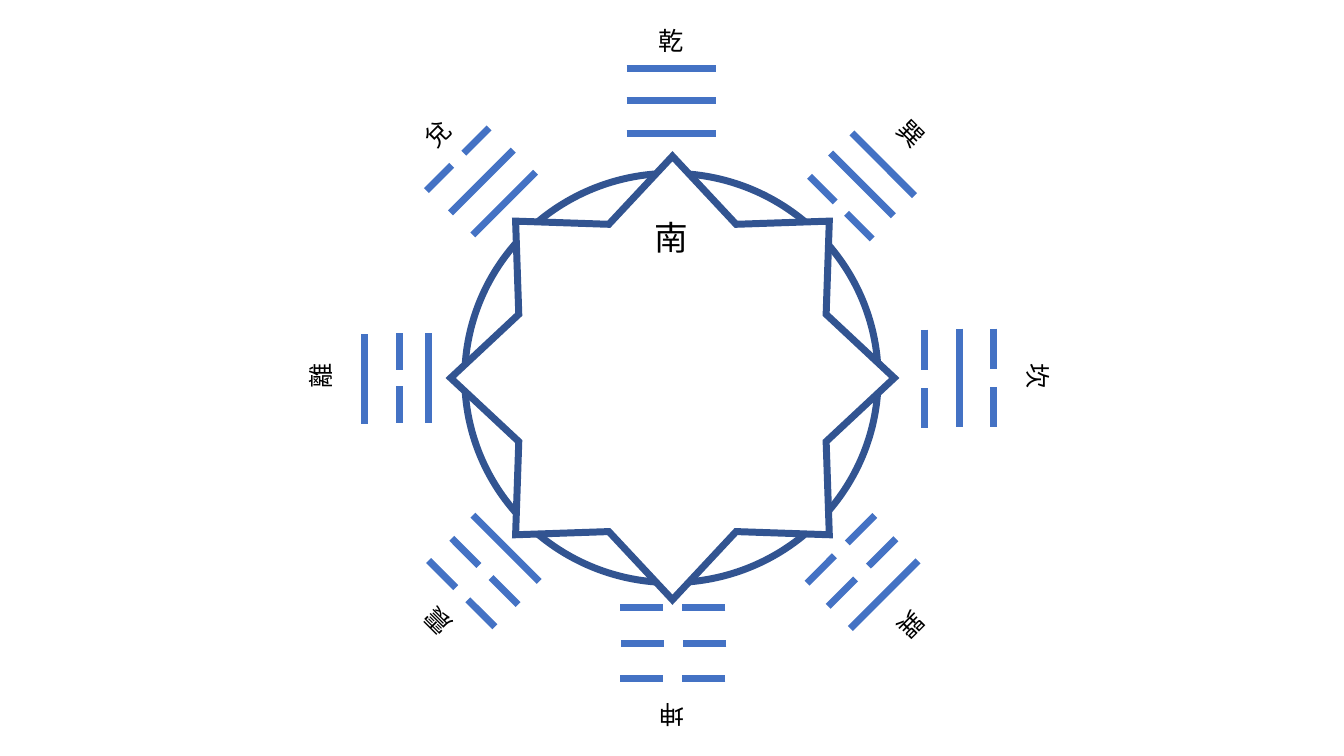
from dataclasses import dataclass
from math import cos, radians, sin

from lxml.etree import SubElement
from pptx import Presentation
from pptx.dml.color import RGBColor
from pptx.enum.shapes import MSO_CONNECTOR, MSO_SHAPE
from pptx.enum.text import MSO_AUTO_SIZE, PP_ALIGN
from pptx.oxml.ns import qn
from pptx.shapes.shapetree import GroupShapes
from pptx.util import Emu, Pt

SCALE = 9144  # EMU per px, 100 px to the inch
COLORS = {"ring": "325491", "bar": "4472C4", "paper": "FFFFFF", "ink": "000000"}
FONT = "Calibri"
STROKE = 5


@dataclass(frozen=True)
class Bar:
    x: int
    y: int
    split: bool = False


@dataclass(frozen=True)
class Trigram:
    """A label and three bars, all placed by centre and turned alike."""
    name: str
    x: int
    y: int
    turn: int
    size: int
    gap: int
    bars: tuple[Bar, Bar, Bar]


TRIGRAMS = [
    Trigram("乾", 666, 40, 0, 89, 16,
            (Bar(666, 132), Bar(666, 100), Bar(666, 68))),
    Trigram("巽", 904, 132, 45, 88, 16,
            (Bar(834, 206, True), Bar(855, 183), Bar(876, 163))),
    Trigram("坎", 1030, 373, 90, 98, 18,
            (Bar(917, 376, True), Bar(952, 375), Bar(985, 375, True))),
    Trigram("巽", 904, 621, 135, 95, 18,
            (Bar(834, 545, True), Bar(855, 568, True), Bar(877, 590))),
    Trigram("坤", 666, 710, 180, 105, 19,
            (Bar(667, 603, True), Bar(668, 638, True), Bar(667, 673, True))),
    Trigram("震", 434, 617, 225, 93, 17,
            (Bar(502, 544), Bar(481, 567, True), Bar(458, 589, True))),
    Trigram("離", 318, 373, 270, 89, 16,
            (Bar(425, 375), Bar(396, 375, True), Bar(362, 376))),
    Trigram("兌", 434, 132, 315, 88, 17,
            (Bar(500, 202), Bar(478, 180), Bar(454, 158, True))),
]


def px(value: float) -> Emu:
    return Emu(round(value * SCALE))


def color(key: str) -> RGBColor:
    return RGBColor.from_string(COLORS[key])


def add_text(shapes: GroupShapes, text: str, x: int, y: int, *,
             width: int = 89, height: int = 40, size: int = 18,
             turn: int = 0) -> None:
    """Centre a text box on x, y."""
    box = shapes.add_textbox(px(x - width / 2), px(y - height / 2),
                             px(width), px(height))
    box.rotation = turn
    frame = box.text_frame
    frame.word_wrap = True
    frame.auto_size = MSO_AUTO_SIZE.SHAPE_TO_FIT_TEXT
    para = frame.paragraphs[0]
    para.alignment = PP_ALIGN.CENTER
    run = para.add_run()
    run.text = text
    run.font.name = FONT
    run.font.size = Pt(size)
    run.font.color.rgb = color("ink")


def add_outline(shapes: GroupShapes, kind: MSO_SHAPE, left: int, top: int,
                width: int, height: int, fill: str | None = None) -> None:
    shape = shapes.add_shape(kind, px(left), px(top), px(width), px(height))
    shape.shadow.inherit = False
    if fill:
        shape.fill.solid()
        shape.fill.fore_color.rgb = color(fill)
    else:
        shape.fill.background()
    shape.line.color.rgb = color("ring")
    shape.line.width = Pt(STROKE)
    SubElement(shape.line._get_or_add_ln(), qn("a:miter"), lim="800000")


def add_bar(shapes: GroupShapes, bar: Bar, sign: Trigram) -> None:
    """Draw one whole bar, or two halves either side of the gap."""
    half, inner = sign.size / 2, sign.gap / 2
    spans = [(-half, -inner), (inner, half)] if bar.split else [(-half, half)]
    across, down = cos(radians(sign.turn)), sin(radians(sign.turn))
    for start, end in spans:
        line = shapes.add_connector(
            MSO_CONNECTOR.STRAIGHT,
            px(bar.x + start * across), px(bar.y + start * down),
            px(bar.x + end * across), px(bar.y + end * down))
        line.line.color.rgb = color("bar")
        line.line.width = Pt(STROKE)
        SubElement(line._element.spPr, qn("a:effectLst"))


def main() -> None:
    deck = Presentation()
    deck.slide_width, deck.slide_height = px(1333), px(750)
    slide = deck.slides.add_slide(deck.slide_layouts[6])
    shapes = slide.shapes.add_group_shape().shapes
    add_outline(shapes, MSO_SHAPE.OVAL, 461, 172, 410, 406)
    add_outline(shapes, MSO_SHAPE.STAR_8_POINT, 447, 155, 440, 440, "paper")
    add_text(shapes, "南", 666, 235, height=50, size=24)
    for sign in TRIGRAMS:
        for bar in sign.bars:
            add_bar(shapes, bar, sign)
        add_text(shapes, sign.name, sign.x, sign.y, turn=sign.turn)
    deck.save("out.pptx")


if __name__ == "__main__":
    main()
